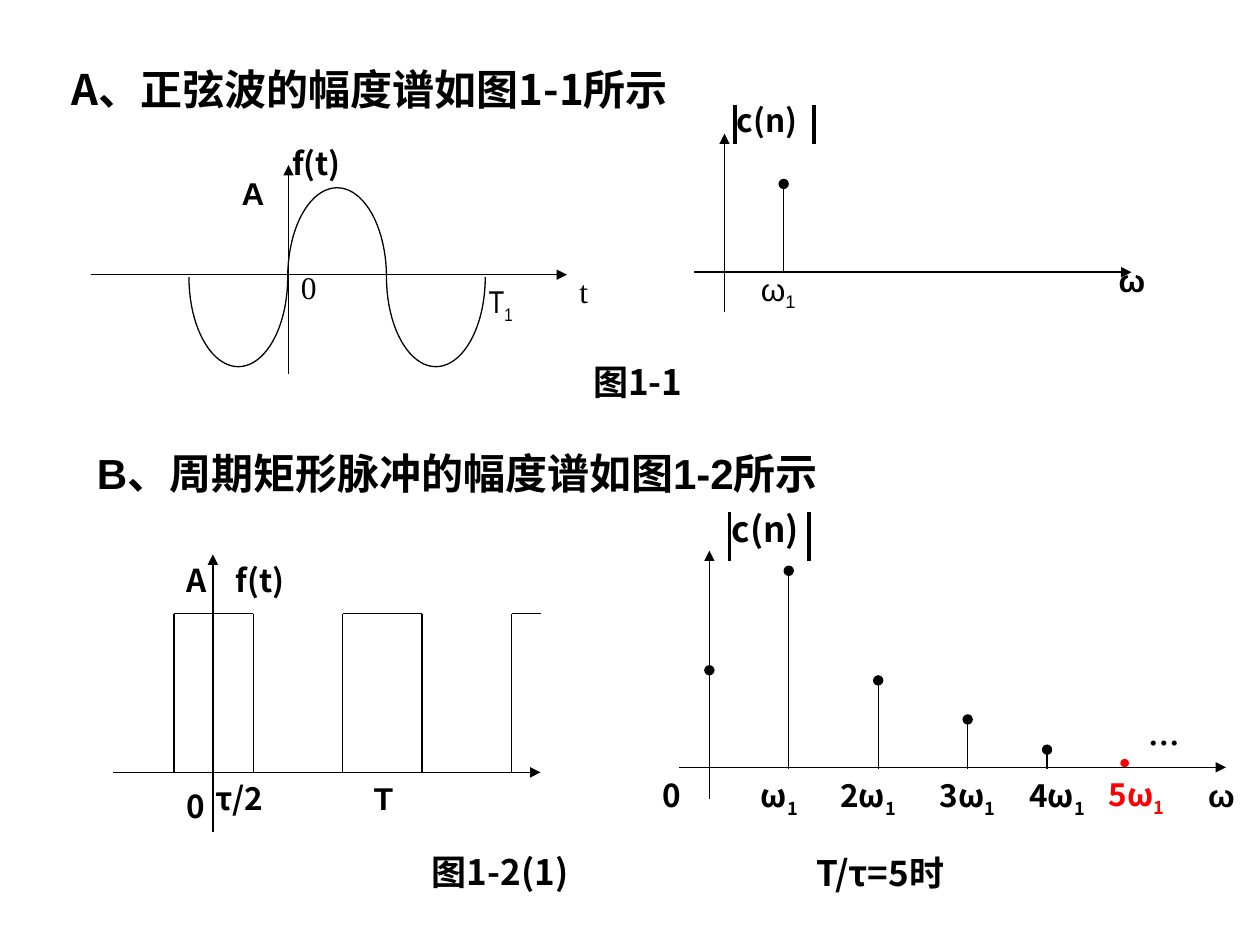
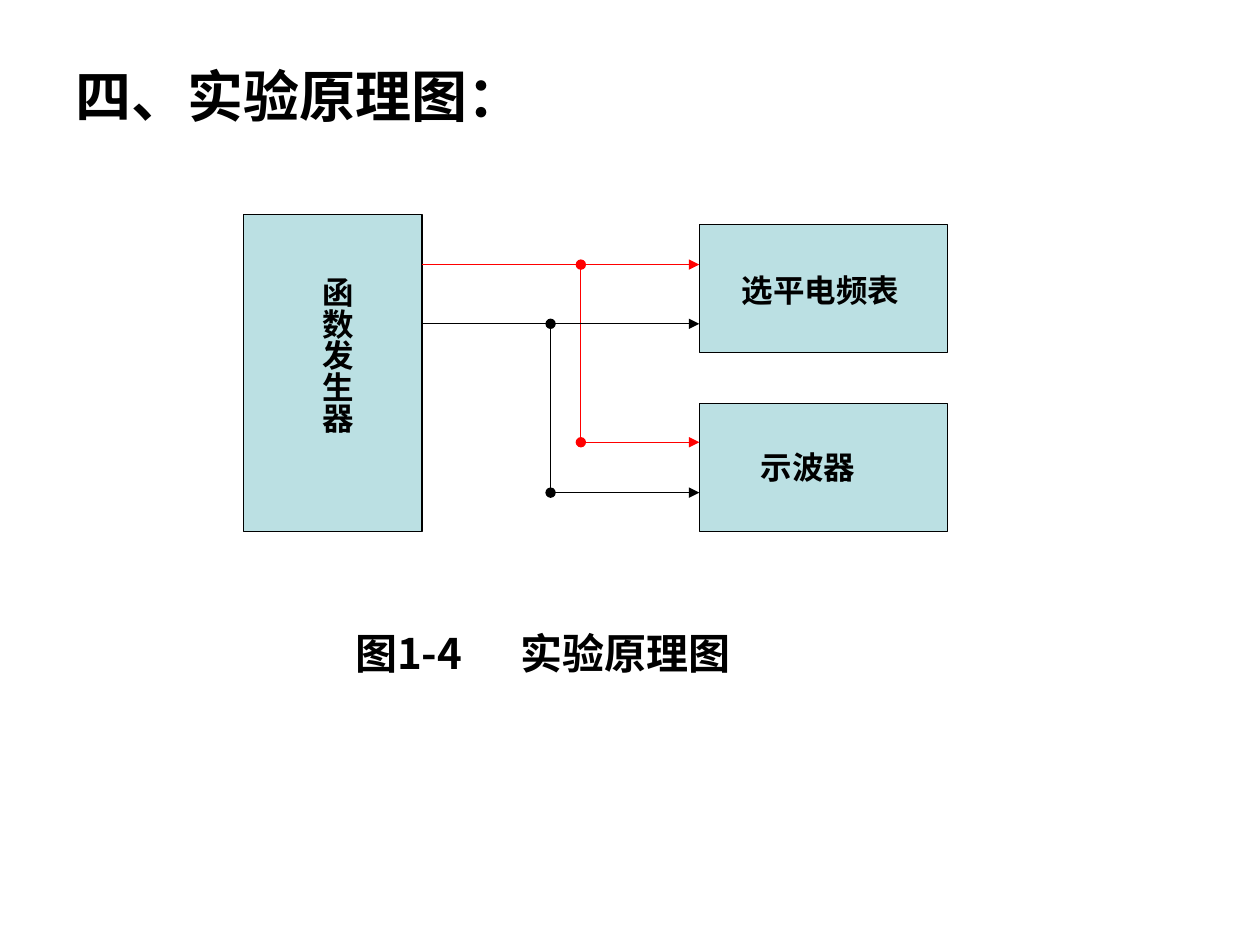
import math
from dataclasses import dataclass
from typing import Optional

from lxml import etree
from pptx import Presentation
from pptx.dml.color import RGBColor
from pptx.enum import shapes, text
from pptx.oxml import ns
from pptx.util import Emu, Inches, Pt

COLUMNS, ROWS = 100, 75
TITLE_ONLY_LAYOUT = 5


@dataclass(frozen=True)
class Theme:
    black: str = "000000"
    red: str = "FF0000"
    box_fill: str = "BBE0E3"
    chinese: str = "Noto Sans CJK SC"
    sans: str = "Arial"
    narrow: str = "Arial Narrow"
    serif: str = "Times New Roman"
    title: int = 32
    heading: int = 24
    caption: int = 20
    label: int = 18
    thin: float = 0.75
    thick: float = 2.25


THEME = Theme()


@dataclass(frozen=True)
class Label:
    """Text at a grid place; an underscore starts a subscript."""
    text: str
    left: float
    top: float
    width: float
    font: str = THEME.chinese
    size: int = THEME.label
    bold: bool = True
    color: str = THEME.black
    tab: Optional[float] = None
    vertical: bool = False


@dataclass(frozen=True)
class Line:
    start: tuple[float, float]
    end: tuple[float, float]
    color: str = THEME.black
    weight: float = THEME.thin
    head: Optional[str] = None
    tail: Optional[str] = None


@dataclass(frozen=True)
class Box:
    left: float
    top: float
    width: float
    height: float


presentation = Presentation()
presentation.slide_width = Inches(10)
presentation.slide_height = Inches(7.5)


def column(count: float) -> Emu:
    return Emu(round(presentation.slide_width * count / COLUMNS))


def row(count: float) -> Emu:
    return Emu(round(presentation.slide_height * count / ROWS))


def format_run(run, font: str, size: int, bold: bool, color: str) -> None:
    run.font.name = font
    run.font.size = Pt(size)
    run.font.bold = bold
    run.font.color.rgb = RGBColor.from_string(color)
    east_asian = etree.SubElement(run.font._element, ns.qn("a:ea"))
    east_asian.set("typeface", THEME.chinese)


def add_title(slide, wording: str, box: Box, font: str, size: int) -> None:
    title = slide.shapes.title
    title.left, title.top = column(box.left), row(box.top)
    title.width, title.height = column(box.width), row(box.height)
    frame = title.text_frame
    frame.text = wording
    frame.word_wrap = True
    frame.auto_size = text.MSO_AUTO_SIZE.NONE
    frame.vertical_anchor = text.MSO_ANCHOR.TOP
    paragraph = frame.paragraphs[0]
    paragraph.alignment = text.PP_ALIGN.LEFT
    format_run(paragraph.runs[0], font, size, True, THEME.black)


def add_label(slide, label: Label) -> None:
    height = 15 if label.vertical else label.size * 0.2 + 0.4
    shape = slide.shapes.add_textbox(column(label.left), row(label.top),
                                     column(label.width), row(height))
    frame = shape.text_frame
    frame.word_wrap = True
    if label.vertical:
        frame._txBody.bodyPr.set("vert", "eaVert")
        frame.margin_left = frame.margin_right = Inches(0.05)
        frame.margin_top = frame.margin_bottom = Inches(0.1)
    paragraph = frame.paragraphs[0]
    for index, part in enumerate(label.text.split("_")):
        run = paragraph.add_run()
        run.text = part
        format_run(run, label.font, label.size, label.bold, label.color)
        if index:
            run.font._element.set("baseline", "-25000")
    if label.tab is not None:
        stops = etree.SubElement(paragraph._p.get_or_add_pPr(), ns.qn("a:tabLst"))
        etree.SubElement(stops, ns.qn("a:tab"), pos=str(column(label.tab)), algn="l")


def add_line(slide, line: Line) -> None:
    connector = slide.shapes.add_connector(
        shapes.MSO_CONNECTOR.STRAIGHT, column(line.start[0]), row(line.start[1]),
        column(line.end[0]), row(line.end[1]))
    connector.line.color.rgb = RGBColor.from_string(line.color)
    connector.line.width = Pt(line.weight)
    outline = connector.line._get_or_add_ln()
    for tag, kind in (("a:headEnd", line.head), ("a:tailEnd", line.tail)):
        if kind:
            etree.SubElement(outline, ns.qn(tag), type=kind)
    etree.SubElement(connector._element.spPr, ns.qn("a:effectLst"))


def add_box(slide, box: Box) -> None:
    shape = slide.shapes.add_shape(
        shapes.MSO_SHAPE.RECTANGLE, column(box.left), row(box.top),
        column(box.width), row(box.height))
    shape.shadow.inherit = False
    shape.fill.solid()
    shape.fill.fore_color.rgb = RGBColor.from_string(THEME.box_fill)
    shape.line.color.rgb = RGBColor.from_string(THEME.black)
    shape.line.width = Pt(THEME.thin)


def add_axes(slide, left: float, right: float, axis_row: float,
             axis_column: float, bottom: float, top: float) -> None:
    add_line(slide, Line((left, axis_row), (right, axis_row), tail="triangle"))
    add_line(slide, Line((axis_column, bottom), (axis_column, top), tail="triangle"))


def add_magnitude_bars(slide, left: float, top: float, height: float) -> None:
    for bar in (left, left + 6.3):
        add_line(slide, Line((bar, top), (bar, top + height), weight=THEME.thick))


def add_stems(slide, foot: float, tips: list[tuple[float, float]]) -> None:
    for position, tip in tips:
        add_line(slide, Line((position, foot), (position, tip), tail="oval"))


def add_wave(slide, left: float, axis_row: float, radius: float, amplitude: float) -> None:
    """Draw three half ellipses in a row: below, above and below the axis."""
    steps = 40
    points = []
    for half, direction in enumerate((1, -1, 1)):
        center = left + radius * (2 * half + 1)
        for step in range(steps + 1):
            angle = math.pi * step / steps
            points.append((column(center - radius * math.cos(angle)),
                           row(axis_row + direction * amplitude * math.sin(angle))))
    builder = slide.shapes.build_freeform(*points[0])
    builder.add_line_segments(points[1:], close=False)
    wave = builder.convert_to_shape()
    wave.shadow.inherit = False
    wave.fill.background()
    wave.line.color.rgb = RGBColor.from_string(THEME.black)
    wave.line.width = Pt(THEME.thin)


def add_pulses(slide, first: float, period: float, width: float,
               top: float, bottom: float, limit: float) -> None:
    """Draw three pulses; the last is cut off at the limit."""
    for index in range(3):
        rise = first + index * period
        fall = rise + width
        add_line(slide, Line((rise, bottom), (rise, top)))
        add_line(slide, Line((rise, top), (min(fall, limit), top)))
        if fall < limit:
            add_line(slide, Line((fall, top), (fall, bottom)))


def new_slide():
    return presentation.slides.add_slide(presentation.slide_layouts[TITLE_ONLY_LAYOUT])


def build_spectra() -> None:
    slide = new_slide()
    add_title(slide, "A、正弦波的幅度谱如图1-1所示", Box(4.7, 4.5, 72.9, 7.4),
              THEME.chinese, THEME.heading)

    add_axes(slide, 7.2, 45, 21.8, 22.9, 29.7, 13.1)
    add_wave(slide, left=15, axis_row=22, radius=3.92, amplitude=7.1)
    add_axes(slide, 55.1, 89.8, 21.6, 57.5, 24.8, 10.6)
    add_stems(slide, 21.6, [(62.2, 14.6)])
    add_magnitude_bars(slide, 58.3, 8.3, 3.1)

    add_axes(slide, 9, 42.9, 61.3, 16.9, 66, 44)
    add_pulses(slide, first=13.8, period=13.4, width=6.3, top=48.7, bottom=61.3, limit=42.9)
    add_axes(slide, 53.9, 97.3, 60.9, 56.3, 63.4, 43.7)
    add_stems(slide, 61, [(56.3, 53.2), (62.6, 45.3), (69.7, 54), (76.8, 57.1), (83.1, 59.5)])
    add_magnitude_bars(slide, 57.9, 40.6, 3.9)

    sine_labels = [
        Label("f(t)", 22.2, 10.9, 8.7),
        Label("A", 18.2, 13.3, 4.7, THEME.sans),
        Label("0", 22.9, 20.8, 5.4, THEME.serif, bold=False),
        Label("T_1", 37.8, 21.9, 6.3, THEME.narrow, bold=False),
        Label("t", 45, 21.1, 10.2, THEME.serif, bold=False),
        Label("c(n)", 57.5, 7.5, 9.8),
        Label("ω_1", 59.4, 20.9, 11, THEME.sans, bold=False),
        Label("ω", 87.8, 20.2, 12.2, THEME.sans),
        Label("图1-1", 46.1, 28.1, 12.6, size=THEME.caption),
    ]
    pulse_labels = [
        Label("B、周期矩形脉冲的幅度谱如图1-2所示", 6.7, 35, 68.9, THEME.sans, THEME.heading),
        Label("A", 13.8, 44, 10.2),
        Label("f(t)", 17.7, 44, 9.5),
        Label("0", 13.8, 62, 5.5),
        Label("τ/2", 16.1, 61.3, 8.7),
        Label("T", 28.7, 61.3, 8.7, THEME.sans),
        Label("图1-2(1)", 33.3, 67, 26, size=THEME.caption),
        Label("c(n)", 57.1, 39.8, 10.2, size=THEME.caption),
        Label("0", 51.6, 61.1, 10.2),
        Label("ω_1", 59.4, 61.1, 10.2),
        Label("2ω_1", 65.7, 61.1, 11),
        Label("3ω_1", 73.6, 61.1, 8.7),
        Label("4ω_1", 80.7, 61.1, 7.1),
        Label("5ω_1", 87, 61, 12.2, color=THEME.red),
        Label("ω", 94.9, 61.1, 5.1, THEME.sans),
        Label("．", 87.4, 57.2, 6.3, THEME.sans, THEME.heading, color=THEME.red),
        Label("…", 90.2, 57, 6.3),
        Label("T/τ=5时", 63.8, 67.1, 21.3, size=THEME.caption),
    ]
    for label in sine_labels + pulse_labels:
        add_label(slide, label)


def build_wiring() -> None:
    slide = new_slide()
    add_title(slide, "四、实验原理图：", Box(5, 4.4, 90, 8), THEME.sans, THEME.title)

    generator = Box(19.3, 17, 14.2, 25.2)
    meter = Box(55.5, 17.8, 19.7, 10.2)
    oscilloscope = Box(55.5, 32, 19.7, 10.2)
    for box in (generator, meter, oscilloscope):
        add_box(slide, box)

    output = generator.left + generator.width
    for color, branch, upper, lower in ((THEME.red, 46.1, 21, 35.1),
                                        (THEME.black, 43.7, 25.7, 39.1)):
        add_line(slide, Line((output, upper), (meter.left, upper), color, tail="triangle"))
        add_line(slide, Line((branch, lower), (oscilloscope.left, lower), color,
                             tail="triangle"))
        add_line(slide, Line((branch, upper), (branch, lower), color,
                             head="oval", tail="oval"))

    for label in (
        Label("函数发生器", 23.8, 21, 5, THEME.sans, vertical=True),
        Label("选平电频表", 57.9, 21, 15.7, THEME.sans),
        Label("示波器", 59.4, 35.1, 11.8, THEME.sans),
        Label("图1-4\t实验原理图", 27.2, 49.3, 40.2, size=THEME.heading, tab=13.1),
    ):
        add_label(slide, label)


def main() -> None:
    build_spectra()
    build_wiring()
    presentation.save("out.pptx")


if __name__ == "__main__":
    main()
